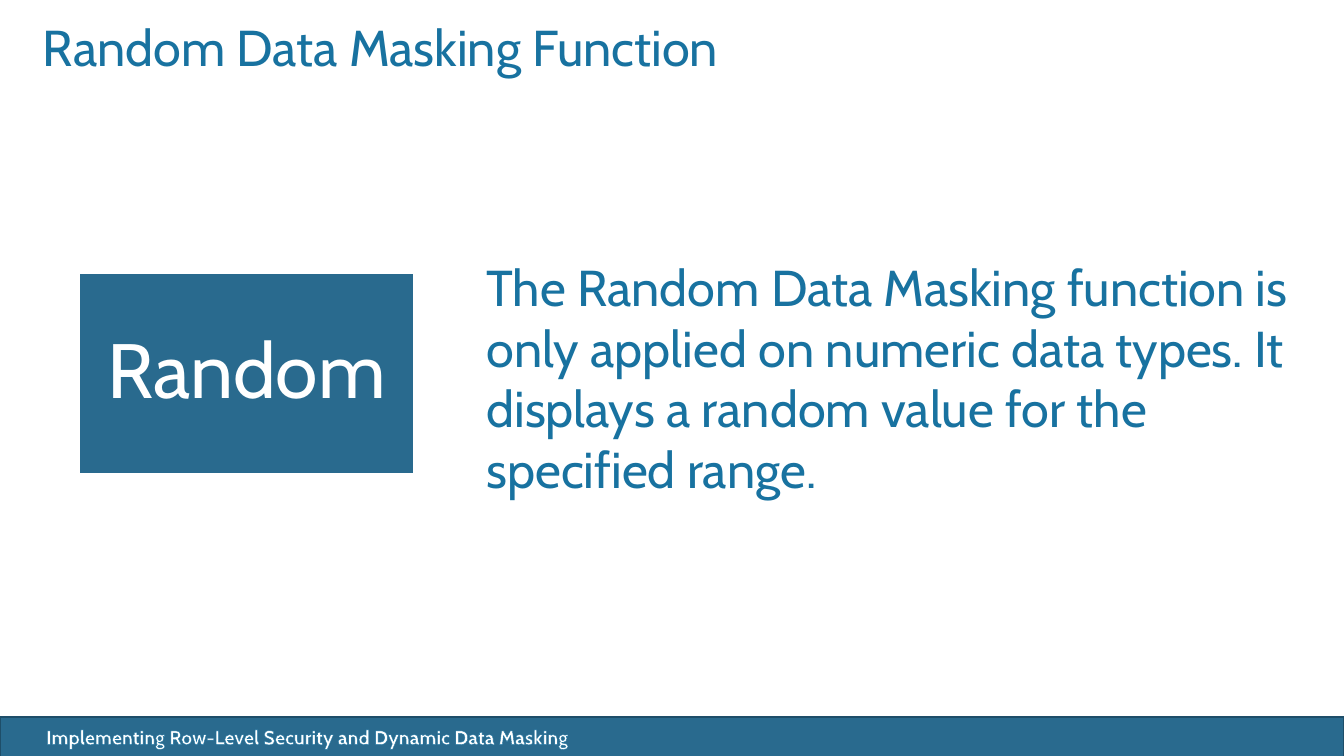
from lxml import etree
from pptx import Presentation
from pptx import util as u
from pptx.dml.color import RGBColor
from pptx.enum import shapes, text
from pptx.oxml.ns import qn

PX = 914400 / 100.8  # EMU per px
COLORS = {"band": "296A8E", "edge": "1E4E69", "ink": "1872A0", "white": "FFFFFF"}
RECT = shapes.MSO_SHAPE.RECTANGLE
SNIPPED = shapes.MSO_SHAPE.SNIP_2_DIAG_RECTANGLE
LEFT, CENTER = text.PP_ALIGN.LEFT, text.PP_ALIGN.CENTER
TOP, MIDDLE = text.MSO_ANCHOR.TOP, text.MSO_ANCHOR.MIDDLE

# Content, from back to front; areas are left, top, width, height in px
PARTS = [
    {"shape": RECT, "area": (0, 717, 1344, 40), "fill": "band", "line": "edge"},
    {"area": (2, 720, 611, 34), "words": "Implementing Row-Level Security and Dynamic Data Masking",
     "font": {"size": u.Pt(14), "bold": True}, "color": "white", "outline": "ink",
     "para": {"alignment": CENTER}},
    {"area": (33, 23, 1262, 126), "words": "Random Data Masking Function",
     "font": {"size": u.Pt(36)}, "color": "ink",
     "para": {"alignment": LEFT, "line_spacing": u.Pt(35)}},
    {"shape": RECT, "area": (79, 273, 335, 201), "fill": "band", "line": "white",
     "words": "Random", "font": {"size": u.Pt(55)}, "color": "white",
     "para": {"alignment": CENTER, "line_spacing": 0.9},
     "anchor": MIDDLE, "insets": (23, 23)},
    {"shape": SNIPPED, "area": (442, 216, 902, 293),
     "words": "The Random Data Masking function is only applied on numeric data types. "
              "It displays a random value for the specified range.",
     "font": {"size": u.Pt(36)}, "color": "ink",
     "para": {"alignment": LEFT}, "insets": (20, 16)},
]


def px(length):
    return u.Emu(round(length * PX))


def rgb(name):
    return RGBColor.from_string(COLORS[name])


def apply(target, values):
    for name, value in values.items():
        setattr(target, name, value)


def paint(shape, part):
    shape.shadow.inherit = False
    if "fill" in part:
        shape.fill.solid()
        shape.fill.fore_color.rgb = rgb(part["fill"])
    else:
        shape.fill.background()
    if "line" in part:
        shape.line.color.rgb = rgb(part["line"])
        shape.line.width = u.Pt(2)
    else:
        shape.line.fill.background()


def outline_text(span, color):
    line = etree.Element(qn("a:ln"), w=str(u.Pt(0.8)))
    fill = etree.SubElement(line, qn("a:solidFill"))
    etree.SubElement(fill, qn("a:srgbClr"), val=COLORS[color])
    span.font._element.insert(0, line)


def write(shape, part):
    frame = shape.text_frame
    side, end = part.get("insets", (10, 5))
    apply(frame, {"word_wrap": True, "vertical_anchor": part.get("anchor", TOP),
                  "margin_left": px(side), "margin_right": px(side),
                  "margin_top": px(end), "margin_bottom": px(end)})
    para = frame.paragraphs[0]
    apply(para, part["para"])
    span = para.add_run()
    span.text = part["words"]
    apply(span.font, {"name": "Cabin", **part["font"]})
    span.font.color.rgb = rgb(part["color"])
    if "outline" in part:
        outline_text(span, part["outline"])


def main():
    deck = Presentation()
    deck.slide_width, deck.slide_height = px(1344), px(756)
    page = deck.slides.add_slide(deck.slide_layouts[6])
    for part in PARTS:
        area = [px(length) for length in part["area"]]
        if "shape" in part:
            box = page.shapes.add_shape(part["shape"], *area)
            paint(box, part)
        else:
            box = page.shapes.add_textbox(*area)
        if "words" in part:
            write(box, part)
    deck.save("out.pptx")


if __name__ == "__main__":
    main()
